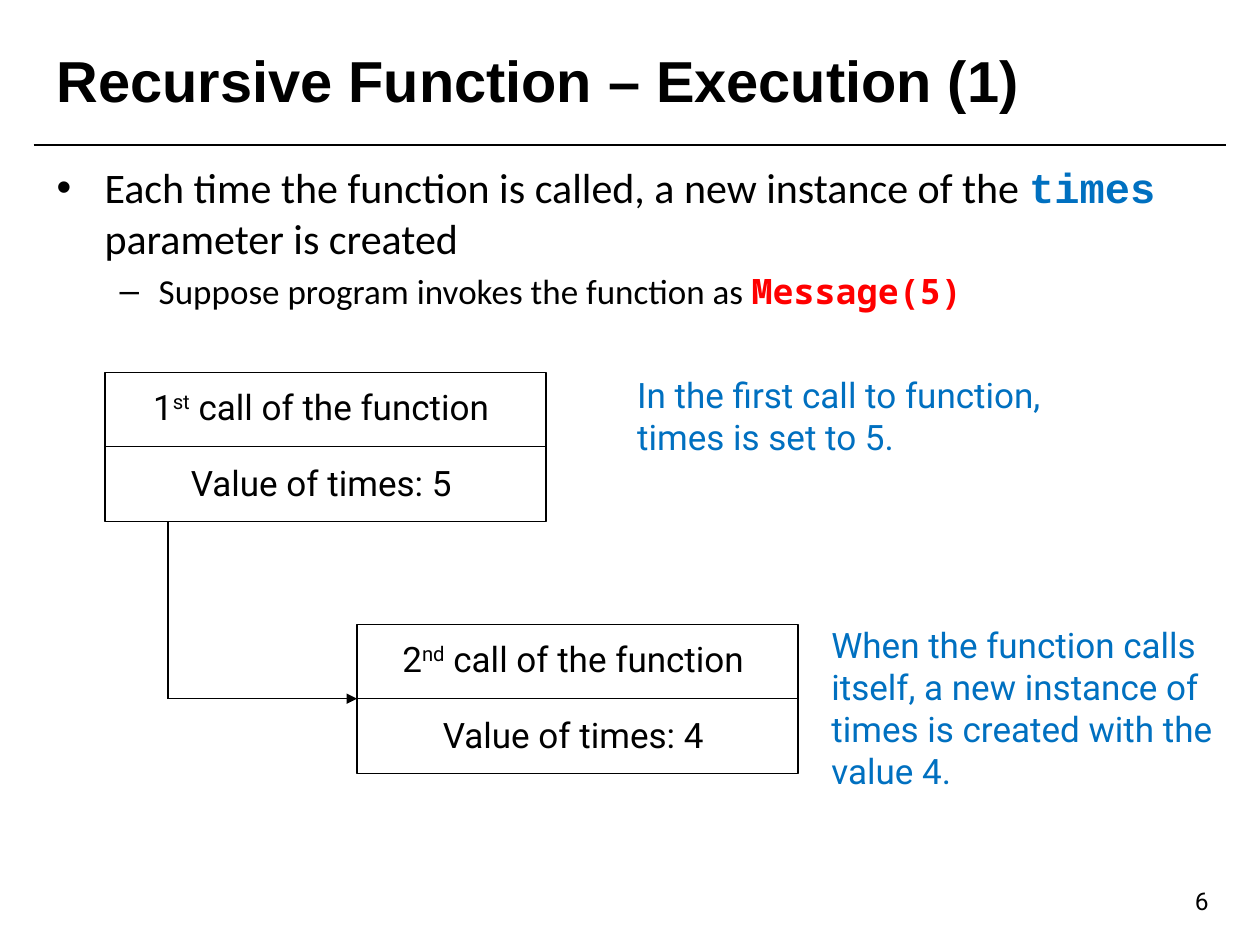
import pptx
import pptx.dml.color
import pptx.enum.shapes
import pptx.enum.text
import pptx.oxml.ns
import pptx.util
from lxml import etree

COLORS = {"black": "000000", "blue": "0070C0", "red": "FF0000"}
COLUMNS, ROWS = 60, 45
WIDTH, HEIGHT = pptx.util.Inches(10), pptx.util.Inches(7.5)
BOX_WIDTH, BOX_HEIGHT, DIVIDER = 21, 7.1, 3.52
LABEL_CENTER = 10.3
ALIGN = pptx.enum.text.PP_ALIGN


def grid_x(column):
    return round(WIDTH * column / COLUMNS)


def grid_y(row):
    return round(HEIGHT * row / ROWS)


def place(column, row, columns, rows):
    return grid_x(column), grid_y(row), grid_x(columns), grid_y(rows)


def color(name):
    return pptx.dml.color.RGBColor.from_string(COLORS[name])


def add_element(parent, tag, **attributes):
    return etree.SubElement(parent, pptx.oxml.ns.qn(tag), **attributes)


def write(paragraph, text, font="Roboto", size=20, ink="black", bold=False, baseline=0):
    for index, line in enumerate(text.split("\n")):
        if index:
            paragraph.add_line_break()
        run = paragraph.add_run()
        run.text = line
        run.font.name = font
        run.font.size = pptx.util.Pt(size)
        run.font.bold = bold
        run.font.color.rgb = color(ink)
        if baseline:
            run.font._element.set("baseline", str(baseline * 1000))


def move_placeholder(placeholder, area):
    placeholder.left, placeholder.top, placeholder.width, placeholder.height = area
    placeholder.text_frame.auto_size = pptx.enum.text.MSO_AUTO_SIZE.NONE
    return placeholder.text_frame


def set_bullet(paragraph, character, indent, hanging):
    properties = paragraph._p.get_or_add_pPr()
    properties.set("marL", str(pptx.util.Inches(indent)))
    properties.set("indent", str(-pptx.util.Inches(hanging)))
    bullet_color = add_element(properties, "a:buClr")
    add_element(bullet_color, "a:srgbClr", val=COLORS["black"])
    add_element(properties, "a:buFont", typeface="Arial")
    add_element(properties, "a:buChar", char=character)


def add_text(slide, area, align=ALIGN.LEFT, wrap=True, grow=True):
    frame = slide.shapes.add_textbox(*area).text_frame
    frame.word_wrap = wrap
    sizes = pptx.enum.text.MSO_AUTO_SIZE
    frame.auto_size = sizes.SHAPE_TO_FIT_TEXT if grow else sizes.NONE
    paragraph = frame.paragraphs[0]
    paragraph.alignment = align
    return paragraph


def add_line(slide, start, end, weight=0.75, arrow=False):
    line = slide.shapes.add_connector(
        pptx.enum.shapes.MSO_CONNECTOR.STRAIGHT,
        grid_x(start[0]), grid_y(start[1]), grid_x(end[0]), grid_y(end[1]))
    line.line.color.rgb = color("black")
    line.line.width = pptx.util.Pt(weight)
    if arrow:
        add_element(line.line._get_or_add_ln(), "a:tailEnd", type="triangle")
    add_element(line._element.spPr, "a:effectLst")


def add_call_box(slide, column, row, number, suffix, value):
    box = slide.shapes.add_shape(
        pptx.enum.shapes.MSO_SHAPE.RECTANGLE, *place(column, row, BOX_WIDTH, BOX_HEIGHT))
    box.shadow.inherit = False
    box.fill.background()
    box.line.color.rgb = color("black")
    box.line.width = pptx.util.Pt(0.75)
    add_line(slide, (column, row + DIVIDER), (column + BOX_WIDTH, row + DIVIDER))

    def add_label(offset, columns):
        area = place(column + LABEL_CENTER - columns / 2, row + offset, columns, 2.65)
        return add_text(slide, area, align=ALIGN.CENTER, wrap=False)

    heading = add_label(0.3, 17.5)
    write(heading, number)
    write(heading, suffix, baseline=30)
    write(heading, " call of the function")
    write(add_label(3.95, 13.75), f"Value of times: {value}")


def add_title(slide):
    frame = move_placeholder(slide.shapes.title, place(2.1, 1.25, 55.75, 5.1))
    frame.vertical_anchor = pptx.enum.text.MSO_ANCHOR.MIDDLE
    paragraph = frame.paragraphs[0]
    paragraph.alignment = ALIGN.LEFT
    write(paragraph, "Recursive Function – Execution (1)", font="Arial", size=33, bold=True)
    add_line(slide, (1.6, 6.9), (58.4, 6.9), weight=1)


def add_body(slide):
    frame = move_placeholder(slide.placeholders[1], place(2.1, 7.4, 55.75, 9.5))
    point = frame.paragraphs[0]
    set_bullet(point, "•", 0.38, 0.38)
    point.space_before = pptx.util.Pt(0)
    write(point, "Each time the function is called, a new instance of the ", font="Calibri", size=24)
    write(point, "times ", font="Courier New", size=24, ink="blue", bold=True)
    write(point, "parameter is created", font="Calibri", size=24)
    detail = frame.add_paragraph()
    detail.level = 1
    set_bullet(detail, "–", 0.81, 0.31)
    detail.space_before = pptx.util.Pt(4)
    write(detail, "Suppose program invokes the function as ", font="Calibri")
    write(detail, "Message(5)", font="Noto Sans Mono", ink="red", bold=True)


def main():
    presentation = pptx.Presentation()
    presentation.slide_width, presentation.slide_height = WIDTH, HEIGHT
    slide = presentation.slides.add_slide(presentation.slide_layouts[1])
    add_title(slide)
    add_body(slide)
    number = add_text(slide, place(44.15, 41.9, 14, 3.1), align=ALIGN.RIGHT, grow=False)
    write(number, "6", size=14)

    add_call_box(slide, 5, 17.75, "1", "st", 5)
    add_call_box(slide, 17, 29.75, "2", "nd", 4)
    add_line(slide, (8, 17.75 + BOX_HEIGHT), (8, 29.75 + DIVIDER))
    add_line(slide, (8, 29.75 + DIVIDER), (17, 29.75 + DIVIDER), arrow=True)

    write(add_text(slide, place(29.75, 17.5, 21.5, 4.6)),
          "In the first call to function, times is set to 5.", ink="blue")
    write(add_text(slide, place(39, 29.4, 23.4, 8.7)),
          "When the function calls\nitself, a new instance of\n"
          "times is created with the\nvalue 4.", ink="blue")
    presentation.save("out.pptx")


if __name__ == "__main__":
    main()
